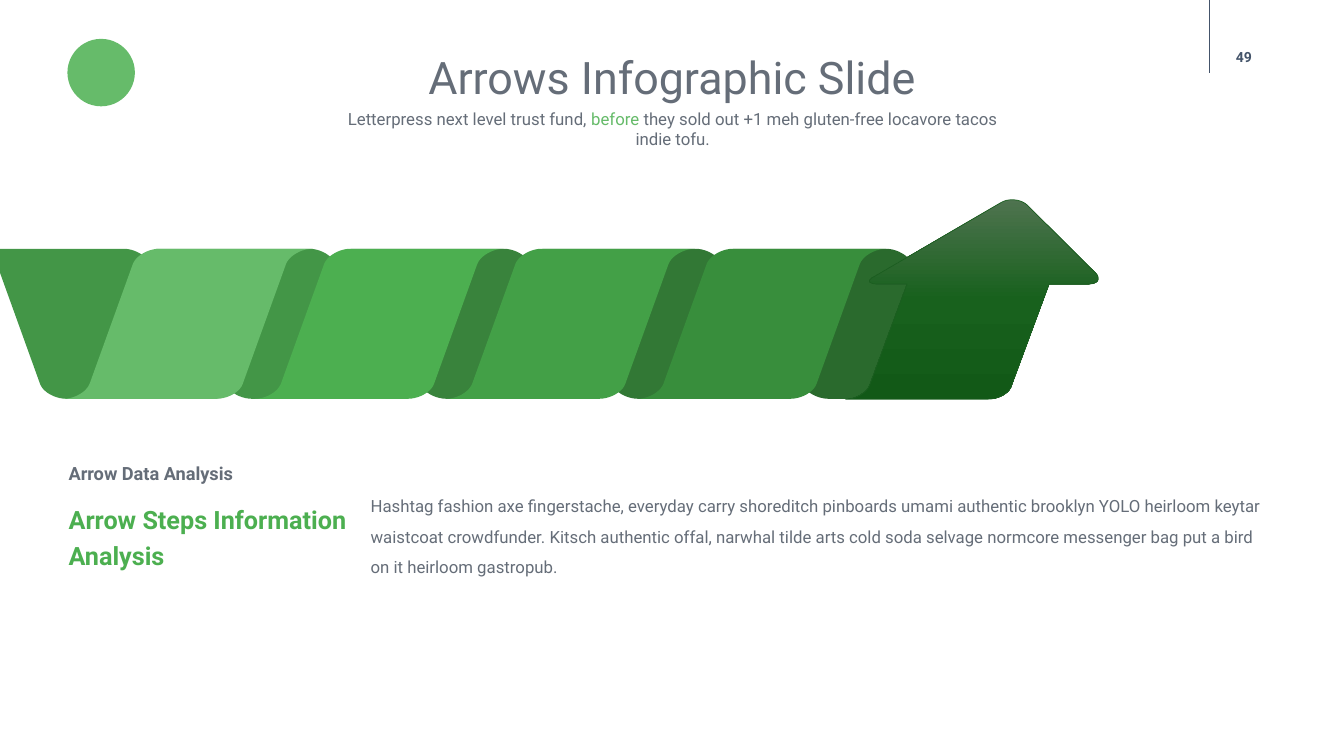
"""Build the arrows infographic slide."""
from copy import deepcopy

from lxml.etree import SubElement
from pptx import Presentation
from pptx.dml.color import RGBColor
from pptx.enum.shapes import MSO_CONNECTOR as CONN, MSO_SHAPE as SHAPE
from pptx.enum.text import MSO_ANCHOR as ANCHOR, PP_ALIGN as ALIGN
from pptx.oxml.ns import qn
from pptx.util import Cm, Pt

FONT = "Roboto"
C = {"grey": "656D78", "navy": "44546A", "leaf": "66BB6A", "green": "4CAF50", "edge": "1B5E20"}

SUBTITLE = [("Letterpress next level trust fund, ", "grey"), ("before", "leaf"),
            (" they sold out +1 meh gluten-free locavore tacos indie tofu.", "grey")]
BODY = ("Hashtag fashion axe fingerstache, everyday carry shoreditch pinboards umami authentic "
        "brooklyn YOLO heirloom keytar waistcoat crowdfunder. Kitsch authentic offal, narwhal "
        "tilde arts cold soda selvage normcore messenger bag put a bird on it heirloom gastropub.")

BAND_TOP, BAND_WIDTH = 6.27, 6.27
FOLDS = [(-0.74, "439647"), (18.47, "2A6A2D"), (13.67, "327835"), (8.84, "39833C"), (3.94, "439647")]
BANDS = ["66BB6A", "4CAF50", "43A047", "388E3C"]
BAND_LEFT, BAND_STEP = 1.6, 4.82
ARROW_STOPS = [(0, "4E734F"), (0.5, "18611D"), (1, "125917")]

BAND = [[(2.41, 0)], [(2.13, 0), (1.83, 0.18), (1.75, 0.38)],
        [(0.66, 3.4)], [(0.58, 3.61), (0.28, 3.78), (0, 3.78)],
        [(3.86, 3.78)], [(4.14, 3.78), (4.45, 3.61), (4.52, 3.4)],
        [(5.61, 0.38)], [(5.69, 0.18), (5.99, 0), (6.27, 0)]]
ARROW = [[(21.31, 10.06)], [(24.89, 10.06)], [(25.17, 10.06), (25.45, 9.91), (25.5, 9.7)],
         [(26.44, 7.16)], [(27.41, 7.16)], [(27.66, 7.16), (27.76, 7.04), (27.61, 6.88)],
         [(25.88, 5.16)], [(25.73, 5.03), (25.43, 4.98), (25.22, 5.11)],
         [(22.05, 6.96)], [(21.84, 7.06), (21.87, 7.16), (22.15, 7.16)],
         [(22.86, 7.16)], [(21.92, 9.7)], [(21.84, 9.91), (21.56, 10.06), (21.31, 10.06)]]


def rgb(name):
    return RGBColor.from_string(C.get(name, name))


def flatten(steps, n=10):
    pts = []
    for step in steps:
        if len(step) == 1:
            pts += step
            continue
        curve = [pts[-1], *step]
        for i in range(1, n + 1):
            t = i / n
            weights = ((1 - t) ** 3, 3 * t * (1 - t) ** 2, 3 * t * t * (1 - t), t ** 3)
            pts.append(tuple(sum(w * p[k] for w, p in zip(weights, curve)) for k in (0, 1)))
    return pts


def style(sp, color):
    sp.shadow.inherit = False
    sp.line.fill.background()
    sp.fill.solid()
    sp.fill.fore_color.rgb = rgb(color)


def add_outline(s, pts, color):
    pts = [(Cm(x), Cm(y)) for x, y in pts]
    builder = s.shapes.build_freeform(*pts[0])
    builder.add_line_segments(pts[1:], close=True)
    sp = builder.convert_to_shape()
    style(sp, color)
    return sp


def add_text(s, text, box, size=12, color="grey", bold=False, align=ALIGN.LEFT,
             spacing=None, inset=True, anchor=ANCHOR.TOP):
    tf = s.shapes.add_textbox(*map(Cm, box)).text_frame
    tf.word_wrap = True
    tf.vertical_anchor = anchor
    if not inset:
        tf.margin_left = tf.margin_right = tf.margin_top = tf.margin_bottom = 0
    p = tf.paragraphs[0]
    p.alignment = align
    p.line_spacing = spacing
    for words, tint in [(text, color)] if isinstance(text, str) else text:
        r = p.add_run()
        r.text = words
        r.font.name, r.font.size, r.font.bold = FONT, Pt(size), bold
        r.font.color.rgb = rgb(tint)


def add_arrow(s):
    sp = add_outline(s, flatten(ARROW), "edge")
    sp.line.color.rgb = rgb("edge")
    sp.line.width = Pt(0.5)
    sp.fill.gradient()
    sp.fill.gradient_angle = 270
    stops = sp._element.spPr.find(qn("a:gradFill")).find(qn("a:gsLst"))
    stops.append(deepcopy(stops[-1]))
    for stop, (pos, color) in zip(sp.fill.gradient_stops, ARROW_STOPS):
        stop.position = pos
        stop.color.rgb = rgb(color)


def main():
    prs = Presentation()
    prs.slide_width, prs.slide_height = Cm(33.87), Cm(19.05)
    s = prs.slides.add_slide(prs.slide_layouts[6])

    badge = s.shapes.add_shape(SHAPE.OVAL, Cm(1.7), Cm(0.98), Cm(1.7), Cm(1.7))
    style(badge, "leaf")

    rule = s.shapes.add_connector(CONN.STRAIGHT, Cm(30.48), Cm(0), Cm(30.48), Cm(1.85))
    rule.line.color.rgb = rgb("navy")
    rule.line.width = Pt(1)
    SubElement(rule._element.spPr, qn("a:effectLst"))

    add_text(s, "49", (30.33, 0.93, 2.03, 1.02), size=10, color="navy", bold=True,
             align=ALIGN.CENTER, inset=False, anchor=ANCHOR.MIDDLE)
    add_text(s, "Arrows Infographic Slide", (6.45, 1.14, 20.98, 1.63), size=32, align=ALIGN.CENTER)
    add_text(s, SUBTITLE, (8.13, 2.62, 17.65, 0.76), align=ALIGN.CENTER)

    band = flatten(BAND)
    for left, color in FOLDS:
        add_outline(s, [(left + BAND_WIDTH - x, BAND_TOP + y) for x, y in band], color)
    add_arrow(s)
    for i, color in enumerate(BANDS):
        left = BAND_LEFT + i * BAND_STEP
        add_outline(s, [(left + x, BAND_TOP + y) for x, y in band], color)

    add_text(s, "Arrow Data Analysis", (1.73, 11.71, 7.32, 0.84), size=13, bold=True,
             spacing=0.9, inset=False)
    add_text(s, "Arrow Steps Information Analysis", (1.73, 12.55, 7.32, 2.74), size=18,
             color="green", bold=True, spacing=1.2, inset=False)
    add_text(s, BODY, (9.09, 12.12, 23.11, 1.7), spacing=1.5)
    prs.save("out.pptx")


if __name__ == "__main__":
    main()
